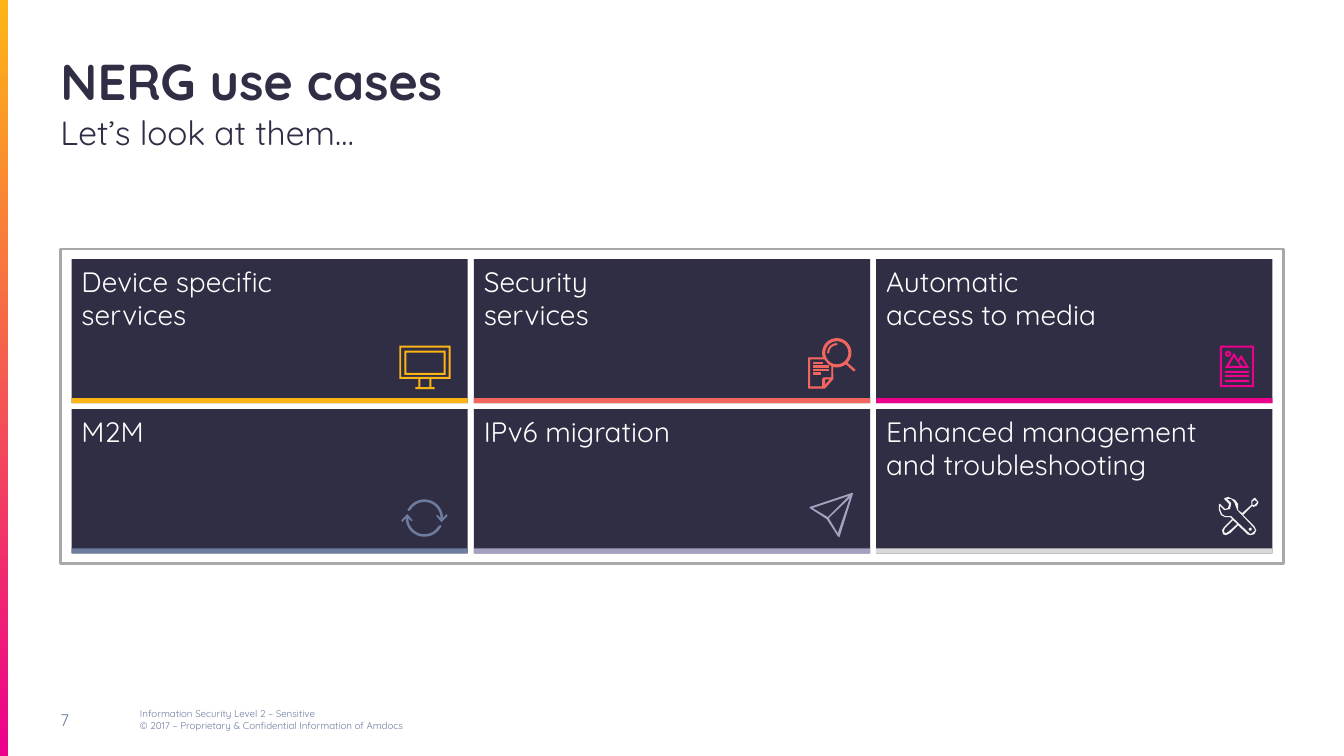
from math import cos, radians, sin

from pptx import Presentation
from pptx.dml.color import RGBColor
from pptx.enum.shapes import MSO_SHAPE
from pptx.enum.text import MSO_ANCHOR, PP_ALIGN
from pptx.util import Emu, Pt

PX = 9144
FONT = "Quicksand"
COLORS = {
    "ink": "302E45", "white": "FFFFFF", "frame": "A7A8AA", "slate": "6E7CA0",
    "amber": "FDB515", "coral": "F2665F", "magenta": "EC008C",
    "lilac": "A3A0C0", "silver": "D9D9D9", "pale": "F2F2F2",
}


class SlideBuilder:
    """Draws styled elements on one slide, with lengths in px."""

    def __init__(self, prs):
        self.slide = prs.slides.add_slide(prs.slide_layouts[6])
        self.shapes = self.slide.shapes

    def color(self, name):
        return RGBColor.from_string(COLORS[name])

    def paint(self, sp, fill=None, line=None, width=1):
        sp.shadow.inherit = False
        if fill:
            sp.fill.solid()
            sp.fill.fore_color.rgb = self.color(fill)
        else:
            sp.fill.background()
        if line:
            sp.line.color.rgb = self.color(line)
            sp.line.width = Pt(width)
        else:
            sp.line.fill.background()

    def rect(self, x, y, w, h, fill=None, line=None, width=1):
        sp = self.shapes.add_shape(
            MSO_SHAPE.RECTANGLE, *(Emu(n * PX) for n in (x, y, w, h)))
        self.paint(sp, fill, line, width)
        return sp

    def gradient_bar(self, x, y, w, h, top, bottom):
        sp = self.rect(x, y, w, h)
        sp.fill.gradient()
        sp.fill.gradient_angle = 270
        for stop, name in zip(sp.fill.gradient_stops, (top, bottom)):
            stop.color.rgb = self.color(name)

    def add_lines(self, sp, lines, size, color, bold=False,
                  anchor=MSO_ANCHOR.TOP, insets=(10, 5, 10, 5)):
        tf = sp.text_frame
        tf.word_wrap = True
        tf.vertical_anchor = anchor
        tf.margin_left, tf.margin_top, tf.margin_right, tf.margin_bottom = (
            Emu(n * PX) for n in insets)
        p = tf.paragraphs[0]
        p.alignment = PP_ALIGN.LEFT
        for i, line in enumerate(lines):
            if i:
                p.add_line_break()
            r = p.add_run()
            r.text = line
            r.font.name = FONT
            r.font.size = Pt(size)
            r.font.bold = bold
            r.font.color.rgb = self.color(color)

    def text(self, x, y, w, h, lines, size, color, **style):
        sp = self.shapes.add_textbox(*(Emu(n * PX) for n in (x, y, w, h)))
        self.add_lines(sp, lines, size, color, **style)

    def icon(self, contours, fill, line=None):
        scaled = [[(x * PX, y * PX) for x, y in c] for c in contours]
        builder = self.shapes.build_freeform(*scaled[0][0], scale=1.0)
        for i, points in enumerate(scaled):
            if i:
                builder.move_to(*points[0])
            builder.add_line_segments(points[1:], close=True)
        self.paint(builder.convert_to_shape(), fill, line, 0.75)


def box(left, top, right, bottom):
    return [(left, top), (right, top), (right, bottom), (left, bottom)]


def arc(cx, cy, radius, start=0, end=360, steps=32):
    angles = [radians(start + (end - start) * i / steps) for i in range(steps + 1)]
    return [(cx + radius * cos(a), cy + radius * sin(a)) for a in angles]


def monitor():
    return [
        [(396, 343), (447, 343), (447, 376), (428, 376), (428, 384), (431, 384),
         (431, 386), (412, 386), (412, 384), (415, 384), (415, 376), (396, 376)],
        box(398, 345, 445, 374), box(417, 376, 426, 384),
        box(401, 348, 442, 372), box(403, 350, 440, 370)]


def document_search():
    cx, cy = 830, 350
    return [
        [(802, 355), (818, 355), *arc(cx, cy, 14, 160, 405), (848, 367), (847, 368),
         *arc(cx, cy, 14, 50, 107), (826, 376), (818, 385), (802, 385)],
        arc(cx, cy, 12), arc(cx, cy, 9, 180, 270) + arc(cx, cy, 8, 270, 180),
        [(824, 376), (818, 376), (818, 383)],
        [(825, 363), (822, 361), (818, 356), (803, 356), (803, 384), (816, 384),
         (816, 376), (817, 375), (825, 375)],
        box(807, 360, 816, 361), box(807, 363, 822, 365),
        box(807, 367, 822, 368), box(807, 370, 814, 372)]


def picture_page():
    text_lines = [box(1215, y, 1239, y + 2) for y in (368, 372, 377)]
    return [
        box(1210, 343, 1244, 384), box(1212, 345, 1242, 382), *text_lines,
        arc(1218, 351, 3), arc(1218, 351, 1),
        [(1231, 352), (1228, 357), (1224, 350), (1215, 365), (1239, 365)],
        [(1219, 363), (1224, 354), (1230, 363)],
        [(1232, 363), (1229, 359), (1231, 356), (1236, 363)]]


def refresh():
    cx, cy = 421, 514
    upper = [
        (442, 511), (443, 510), (444, 512), (439, 517), (438, 518), (437, 517),
        (433, 512), (433, 511), (434, 511), *arc(cx, cy, 16, 0, -150),
        (405, 507), (404, 505), *arc(cx, cy, 18.5, -150, 0)]
    return [upper, [(2 * cx - x, 2 * cy - y) for x, y in upper]]


def paper_plane():
    return [
        [(846, 489), (845, 489), (803, 503), (803, 504), (820, 515), (831, 532),
         (832, 533), (833, 532), (846, 490)],
        [(842, 492), (821, 513), (806, 504)],
        [(831, 529), (822, 514), (843, 494)]]


def tools():
    return [
        [(1248, 498), (1245, 494), (1244, 494), (1241, 497), (1241, 501),
         (1232, 509), (1228, 506), (1228, 500), (1225, 496), (1218, 493),
         (1215, 494), (1214, 495), (1219, 500), (1218, 504), (1215, 505),
         (1210, 500), (1209, 500), (1209, 506), (1211, 511), (1215, 513),
         (1220, 513), (1222, 515), (1214, 523), (1212, 526), (1213, 530),
         (1216, 531), (1220, 529), (1228, 521), (1237, 530), (1240, 531),
         (1244, 530), (1246, 526), (1244, 522), (1233, 511), (1242, 502),
         (1243, 503), (1246, 502), (1248, 499)],
        [(1247, 498), (1244, 501), (1242, 501), (1242, 498), (1244, 496)],
        [(1243, 523), (1245, 526), (1243, 528), (1240, 530), (1238, 528),
         (1221, 512), (1215, 512), (1212, 510), (1210, 505), (1210, 502),
         (1214, 506), (1215, 506), (1220, 505), (1221, 500), (1221, 499),
         (1217, 495), (1221, 495), (1224, 498), (1227, 506)],
        [(1215, 524), (1223, 516), (1227, 520), (1219, 527), (1216, 529),
         (1214, 528), (1214, 526)],
        arc(1240, 525, 1.5)]


USE_CASES = [
    (["Device specific ", "services"], "amber", monitor, "amber", None),
    (["Security ", "services"], "coral", document_search, "coral", "coral"),
    (["Automatic ", "access to media"], "magenta", picture_page, "magenta", None),
    (["M2M"], "slate", refresh, "slate", None),
    (["IPv6 migration"], "lilac", paper_plane, "lilac", None),
    (["Enhanced management ", "and troubleshooting"], "silver", tools, "pale", None),
]


def main():
    prs = Presentation()
    prs.slide_width, prs.slide_height = Emu(1333 * PX), Emu(750 * PX)
    s = SlideBuilder(prs)
    s.gradient_bar(0, 0, 8, 750, "amber", "magenta")
    s.text(129, 694, 450, 40, [
        "Information Security Level 2 – Sensitive",
        "© 2017 – Proprietary & Confidential Information of Amdocs",
    ], 7, "slate", anchor=MSO_ANCHOR.MIDDLE)
    s.text(60, 694, 69, 40, ["7"], 12, "slate",
           anchor=MSO_ANCHOR.MIDDLE, insets=(0, 5, 10, 5))
    s.text(60, 49, 1213, 61, ["NERG use cases"], 36, "ink", bold=True,
           anchor=MSO_ANCHOR.BOTTOM, insets=(0, 0, 0, 0))
    s.text(60, 111, 1213, 48, ["Let’s look at them…"], 24, "ink",
           insets=(0, 0, 0, 0))
    s.rect(60, 247, 1213, 312, line="frame", width=2)
    for i, (lines, accent, icon, icon_color, outline) in enumerate(USE_CASES):
        row, col = divmod(i, 3)
        x, y = 71 + 399 * col, 257 + 149 * row
        tile = s.rect(x, y, 393, 143, "ink")
        s.add_lines(tile, lines, 20, "white")
        s.rect(x, y + 138, 393, 5, accent)
        s.icon(icon(), icon_color, outline)
    prs.save("out.pptx")


if __name__ == "__main__":
    main()
